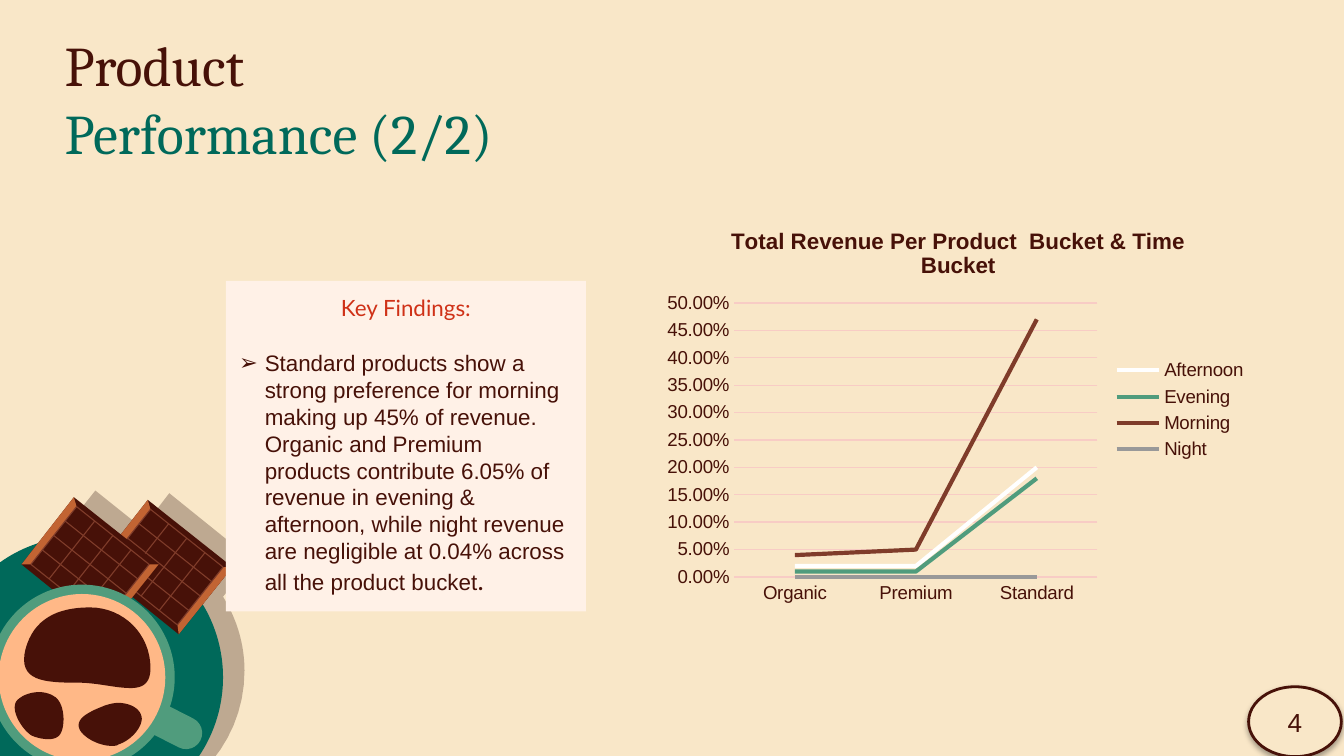
from dataclasses import dataclass

from lxml import etree
from pptx import Presentation
from pptx import util as u
from pptx.chart.data import CategoryChartData
from pptx.dml.color import RGBColor
from pptx.enum import chart as charts, shapes, text
from pptx.oxml import ns, parse_xml

Inches = u.Inches


@dataclass(frozen=True)
class Theme:
    """Colours, fonts and type sizes of the slide."""
    cream: str = "F9E7C8"
    panel: str = "FFF1E7"
    cocoa: str = "471108"
    brown: str = "7F3C2A"
    caramel: str = "C26433"
    green: str = "00695A"
    mint: str = "509C7D"
    coffee: str = "FFB887"
    shade: str = "31140C"
    red: str = "CF3117"
    pink: str = "F8CCC5"
    white: str = "FFFFFF"
    gray: str = "999999"
    serif: str = "Cambria"
    sans: str = "Arial"
    accent: str = "Lato"
    title: int = 30
    body: int = 12
    large: int = 14
    label: int = 10


THEME = Theme()
FINDINGS = ("Standard products show a strong preference for morning making up 45% of revenue. "
            "Organic and Premium products contribute 6.05% of revenue in evening & afternoon, "
            "while night revenue are negligible at 0.04% across all the product bucket")
BEANS = [
    [(0.75, 0.17), (0.5, 0.17, 0.33, 0.26, 0.27, 0.48), (0.21, 0.72, 0.41, 0.73, 0.66, 0.73),
     (0.8, 0.73, 0.94, 0.77, 1.05, 0.77), (1.14, 0.77, 1.2, 0.74, 1.2, 0.62),
     (1.2, 0.37, 1, 0.17, 0.75, 0.17)],
    [(0.96, 0.88), (0.93, 0.88, 0.89, 0.89, 0.86, 0.9), (0.76, 0.94, 0.64, 0.99, 0.67, 1.07),
     (0.69, 1.13, 0.81, 1.2, 0.91, 1.2), (0.93, 1.2, 0.95, 1.2, 0.96, 1.19),
     (1.06, 1.16, 1.16, 1.04, 1.13, 0.97), (1.11, 0.91, 1.03, 0.88, 0.96, 0.88)],
    [(0.37, 0.8), (0.3, 0.8, 0.23, 0.83, 0.2, 0.87), (0.16, 0.94, 0.24, 1.07, 0.31, 1.12),
     (0.35, 1.14, 0.4, 1.15, 0.44, 1.15), (0.48, 1.15, 0.51, 1.14, 0.53, 1.11),
     (0.57, 1.04, 0.56, 0.87, 0.48, 0.83), (0.45, 0.81, 0.41, 0.8, 0.37, 0.8)],
]
SHADOW = [(2.17, 0.52), (1.55, 0.02), (1.35, 0.28), (1, 0), (0.73, 0.34),
          (0.31, 0.47, 0, 0.87, 0, 1.34), (0, 1.92, 0.48, 2.39, 1.06, 2.39),
          (1.64, 2.39, 2.11, 1.92, 2.11, 1.34), (2.11, 1.14, 2.05, 0.95, 1.95, 0.79)]


def rgb(color):
    """Return a colour object for a hex string."""
    return RGBColor.from_string(color)


def style_font(font, size=THEME.label, name=THEME.sans, color=THEME.cocoa, bold=False):
    """Format a font."""
    font.size, font.name, font.bold = u.Pt(size), name, bold
    font.color.rgb = rgb(color)


def add_text(paragraph, content, **style):
    """Append a formatted run to a paragraph."""
    run = paragraph.add_run()
    run.text = content
    style_font(run.font, **style)


def paint(shape, fill, line=None, width=0.6):
    """Set the fill and line of a shape and remove its shadow."""
    shape.shadow.inherit = False
    shape.fill.solid()
    shape.fill.fore_color.rgb = rgb(fill)
    if line:
        shape.line.color.rgb = rgb(line)
        shape.line.width = u.Pt(width)
    else:
        shape.line.fill.background()
    return shape


def place(shape, box):
    """Move a shape to a box given in inches."""
    shape.left, shape.top, shape.width, shape.height = map(Inches, box)


def trace(steps, samples=16):
    """Turn line and cubic curve steps into a list of points."""
    points = [steps[0]]
    for step in steps[1:]:
        if len(step) == 2:
            points.append(step)
            continue
        controls = [points[-1], step[:2], step[2:4], step[4:]]
        for index in range(1, samples + 1):
            t = index / samples
            weights = ((1 - t) ** 3, 3 * t * (1 - t) ** 2, 3 * t * t * (1 - t), t ** 3)
            points.append(tuple(sum(w * c[axis] for w, c in zip(weights, controls))
                                for axis in (0, 1)))
    return points


def add_outline(group, left, top, steps, fill, line=None):
    """Draw a closed outline relative to a corner."""
    points = [(Inches(left + x), Inches(top + y)) for x, y in trace(steps)]
    builder = group.shapes.build_freeform(*points[0])
    builder.add_line_segments(points[1:], close=True)
    return paint(builder.convert_to_shape(), fill, line)


def add_preset(group, kind, box, fill):
    """Draw a plain preset shape in a box."""
    return paint(group.shapes.add_shape(kind, *map(Inches, box)), fill)


def add_chocolate(group, left, top):
    """Draw a chocolate bar with its edges and grooves."""
    outer = [(0.39, 0), (0, 0.5), (0.62, 1), (1.02, 0.5)]
    inner = [(0.41, 0.07), (0.07, 0.5), (0.61, 0.93), (0.95, 0.5)]
    add_outline(group, left, top, outer, THEME.cocoa)
    for first, second in ((0, 1), (2, 3)):
        edge = [outer[first], outer[second], inner[second], inner[first]]
        add_outline(group, left, top, edge, THEME.caramel)
    add_outline(group, left, top, inner, THEME.cocoa, THEME.brown)
    corner, west, _, east = inner
    for along, across in ((east, west), (west, east)):
        for index in range(1, 4):
            shift = [(across[axis] - corner[axis]) * index / 4 for axis in (0, 1)]
            ends = [(left + x + shift[0], top + y + shift[1]) for x, y in (corner, along)]
            groove = group.shapes.add_connector(
                shapes.MSO_CONNECTOR.STRAIGHT, *(Inches(value) for end in ends for value in end))
            groove.line.color.rgb = rgb(THEME.brown)
            groove.line.width = u.Pt(0.6)
            etree.SubElement(groove._element.spPr, ns.qn("a:effectLst"))


def add_cup(group, left, top):
    """Draw a coffee cup seen from above."""
    handle = add_preset(group, shapes.MSO_SHAPE.ROUNDED_RECTANGLE,
                        (left + 0.91, top + 0.88, 0.7, 0.24), THEME.mint)
    handle.adjustments[0] = 0.5
    handle.rotation = 27
    for inset, color in ((0, THEME.mint), (0.07, THEME.coffee)):
        size = 1.38 - 2 * inset
        add_preset(group, shapes.MSO_SHAPE.OVAL, (left + inset, top + inset, size, size), color)
    for bean in BEANS:
        add_outline(group, left, top, bean, THEME.cocoa)


def add_illustration(slide, left, top):
    """Draw the saucer, chocolate bars and cup as a group."""
    group = slide.shapes.add_group_shape()
    shadow = add_outline(group, left + 0.15, top, SHADOW, THEME.shade)
    color = shadow._element.spPr.find(ns.qn("a:solidFill"))[0]
    etree.SubElement(color, ns.qn("a:alpha"), val="29000")
    add_preset(group, shapes.MSO_SHAPE.OVAL, (left, top + 0.34, 2.1, 2.1), THEME.green)
    add_chocolate(group, left + 1.15, top + 0.07)
    add_chocolate(group, left + 0.6, top + 0.05)
    add_cup(group, left + 0.36, top + 0.7)


def prepare_frame(shape, box, anchor):
    """Place a placeholder and return its formatted text frame."""
    place(shape, box)
    frame = shape.text_frame
    frame.word_wrap, frame.auto_size = True, text.MSO_AUTO_SIZE.NONE
    frame.vertical_anchor = anchor
    frame.margin_left = frame.margin_right = frame.margin_top = frame.margin_bottom = Inches(0.1)
    return frame


def fill_title(shape, box):
    """Write the two-coloured title."""
    paragraph = prepare_frame(shape, box, text.MSO_ANCHOR.BOTTOM).paragraphs[0]
    paragraph.alignment = text.PP_ALIGN.LEFT
    style = {"size": THEME.title, "name": THEME.serif}
    add_text(paragraph, "Product", **style)
    paragraph.add_line_break()
    add_text(paragraph, "Performance (2/2)", color=THEME.green, **style)


def fill_findings(shape, box):
    """Write the key findings panel."""
    frame = prepare_frame(shape, box, text.MSO_ANCHOR.TOP)
    paint(shape, THEME.panel)
    heading = frame.paragraphs[0]
    heading.alignment, heading.space_before = text.PP_ALIGN.CENTER, u.Pt(0)
    add_text(heading, "Key Findings:", size=THEME.body, name=THEME.accent, color=THEME.red)
    finding = frame.add_paragraph()
    properties = finding._p.get_or_add_pPr()
    properties.set("marL", str(Inches(0.19)))
    properties.set("indent", str(-Inches(0.19)))
    bullet_color = etree.SubElement(properties, ns.qn("a:buClr"))
    etree.SubElement(bullet_color, ns.qn("a:srgbClr"), val=THEME.cocoa)
    etree.SubElement(properties, ns.qn("a:buFont"), typeface=THEME.sans)
    etree.SubElement(properties, ns.qn("a:buChar"), char="➢")
    finding.alignment = text.PP_ALIGN.LEFT
    finding.space_before, finding.line_spacing = u.Pt(15), 1.0
    add_text(finding, FINDINGS, size=THEME.body)
    add_text(finding, ".", size=THEME.large, name=THEME.accent)


def add_revenue_chart(slide, box):
    """Add the line chart of revenue shares."""
    data = CategoryChartData(number_format="0.00%")
    data.categories = ["Organic", "Premium", "Standard"]
    rows = [("Afternoon", (0.02, 0.02, 0.2), THEME.white), ("Evening", (0.01, 0.01, 0.18), THEME.mint),
            ("Morning", (0.04, 0.05, 0.47), THEME.brown), ("Night", (0, 0, 0), THEME.gray)]
    for name, values, _ in rows:
        data.add_series(name, values)
    chart = slide.shapes.add_chart(charts.XL_CHART_TYPE.LINE, *map(Inches, box), data).chart
    style_font(chart.font)
    add_text(chart.chart_title.text_frame.paragraphs[0],
             "Total Revenue Per Product  Bucket & Time Bucket", size=THEME.body, bold=True)
    chart.chart_title.include_in_layout = False
    chart.has_legend = True
    chart.legend.position = charts.XL_LEGEND_POSITION.RIGHT
    chart.legend.include_in_layout = False
    style_font(chart.legend.font)
    for axis in (chart.category_axis, chart.value_axis):
        axis.major_tick_mark = axis.minor_tick_mark = charts.XL_TICK_MARK.NONE
        style_font(axis.tick_labels.font)
    values = chart.value_axis
    values.minimum_scale, values.maximum_scale, values.major_unit = 0, 0.5, 0.05
    values.tick_labels.number_format, values.tick_labels.number_format_is_linked = "0.00%", False
    values.format.line.fill.background()
    for line in (values.major_gridlines.format.line, chart.category_axis.format.line):
        line.color.rgb, line.width = rgb(THEME.pink), u.Pt(0.75)
    chart.plots[0].vary_by_categories = False
    for series, (_, _, color) in zip(chart.plots[0].series, rows):
        series.smooth = False
        series.marker.style = charts.XL_MARKER_STYLE.NONE
        series.format.line.color.rgb, series.format.line.width = rgb(color), u.Pt(2.25)
    area = chart._chartSpace.chart.plotArea
    for old in area.findall(ns.qn("c:layout")):
        area.remove(old)
    settings = {"layoutTarget": "inner", "xMode": "edge", "yMode": "edge",
                "x": 0.13, "y": 0.235, "w": 0.6, "h": 0.68}
    items = "".join(f'<c:{key} val="{value}"/>' for key, value in settings.items())
    area.insert(0, parse_xml(f'<c:layout {ns.nsdecls("c")}><c:manualLayout>{items}'
                             '</c:manualLayout></c:layout>'))


def add_page_badge(slide, box):
    """Add the page number in a shadowed ellipse."""
    badge = slide.shapes.add_shape(shapes.MSO_SHAPE.OVAL, *map(Inches, box))
    paint(badge, THEME.cream, THEME.cocoa, 1.5)
    effects = badge._element.spPr.find(ns.qn("a:effectLst"))
    shadow = etree.SubElement(effects, ns.qn("a:outerShdw"), blurRad=str(u.Pt(3.1)),
                              dist=str(u.Pt(1.8)), dir="5400000", rotWithShape="0")
    color = etree.SubElement(shadow, ns.qn("a:srgbClr"), val="000000")
    etree.SubElement(color, ns.qn("a:alpha"), val="35000")
    badge.text_frame.vertical_anchor = text.MSO_ANCHOR.MIDDLE
    paragraph = badge.text_frame.paragraphs[0]
    paragraph.alignment = text.PP_ALIGN.CENTER
    add_text(paragraph, "4", size=THEME.large)


def main():
    """Build and save the presentation."""
    presentation = Presentation()
    presentation.slide_width = Inches(10)
    presentation.slide_height = presentation.slide_width * 9 // 16
    slide = presentation.slides.add_slide(presentation.slide_layouts[0])
    slide.background.fill.solid()
    slide.background.fill.fore_color.rgb = rgb(THEME.cream)
    title, findings = slide.placeholders
    add_illustration(slide, -0.44, 3.65)
    fill_title(title, (0.38, 0.63, 5.09, 0.7))
    fill_findings(findings, (1.68, 2.09, 2.68, 2.46))
    for placeholder in (title, findings):
        slide.shapes._spTree.append(placeholder._element)
    add_revenue_chart(slide, (4.88, 1.55, 4.5, 3))
    add_page_badge(slide, (9.29, 5.11, 0.69, 0.52))
    presentation.save("out.pptx")


if __name__ == "__main__":
    main()
